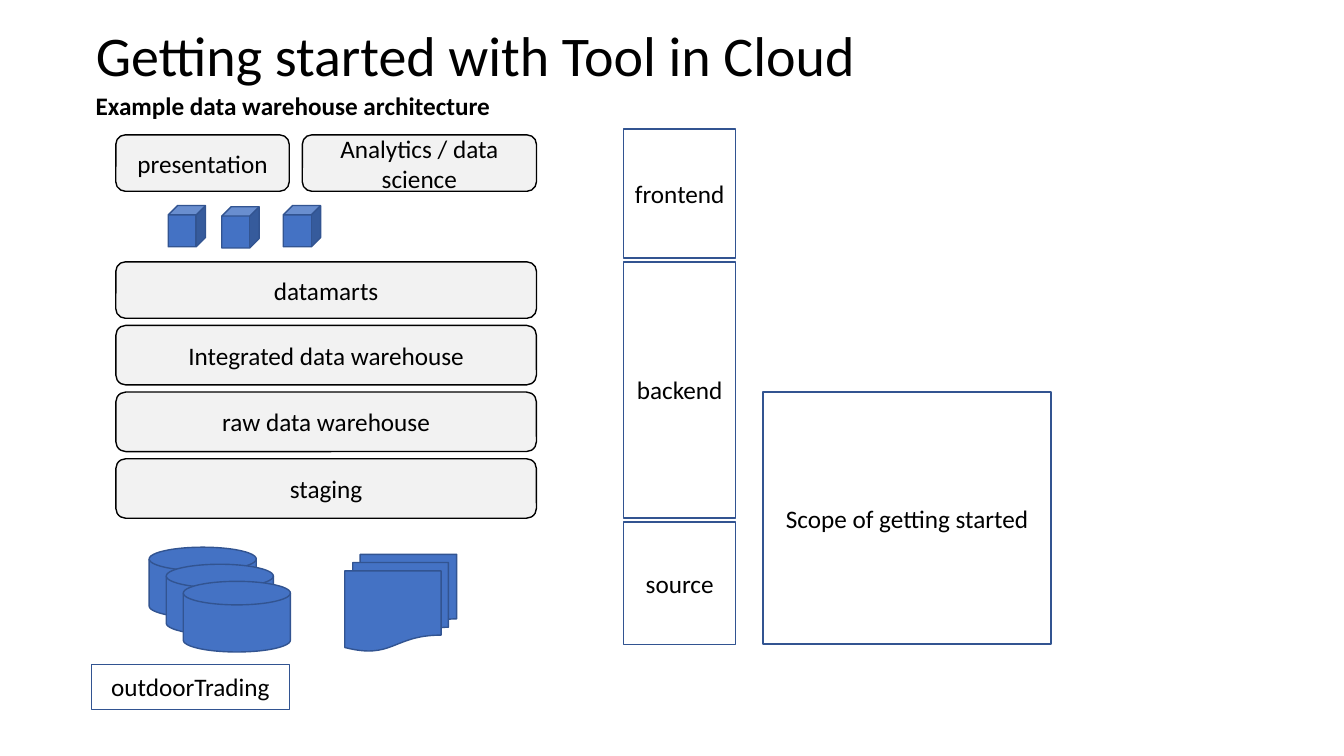
from pptx import Presentation
from pptx import util as u
from pptx.dml import color
from pptx.enum import shapes, text

FONT = "Calibri"
BLACK, WHITE, GREY = "000000", "FFFFFF", "F2F2F2"
BLUE, DARK_BLUE = "4472C4", "325491"
KIND = shapes.MSO_SHAPE


def rgb(hex_code):
    return color.RGBColor.from_string(hex_code)


def place(part, left, top, width, height):
    part.left, part.top = u.Cm(left), u.Cm(top)
    part.width, part.height = u.Cm(width), u.Cm(height)


def write(frame, words, size=18, bold=False, align=text.PP_ALIGN.CENTER,
          anchor=text.MSO_ANCHOR.MIDDLE):
    frame.word_wrap = True
    frame.auto_size = text.MSO_AUTO_SIZE.NONE
    frame.vertical_anchor = anchor
    paragraph = frame.paragraphs[0]
    paragraph.alignment = align
    run = paragraph.add_run()
    run.text = words
    run.font.name, run.font.size, run.font.bold = FONT, u.Pt(size), bold
    run.font.color.rgb = rgb(BLACK)


def add_part(slide, kind, box, fill, line, words=None):
    part = slide.shapes.add_shape(kind, *map(u.Cm, box))
    part.shadow.inherit = False
    part.fill.solid()
    part.fill.fore_color.rgb = rgb(fill)
    part.line.color.rgb = rgb(line)
    part.line.width = u.Pt(1)
    if words:
        write(part.text_frame, words)


def add_heading(slide, left, top, width):
    at_top_left = dict(align=text.PP_ALIGN.LEFT, anchor=text.MSO_ANCHOR.TOP)
    title = slide.shapes.title
    place(title, left, top, width, 1.96)
    write(title.text_frame, "Getting started with Tool in Cloud", size=40, **at_top_left)
    subtitle = slide.shapes.add_textbox(*map(u.Cm, (left, top + 1.78, 19.58, 1.02)))
    write(subtitle.text_frame, "Example data warehouse architecture", bold=True, **at_top_left)


def add_warehouse(slide, left, top, width):
    def layer(words, x, y, w, h):
        add_part(slide, KIND.ROUNDED_RECTANGLE, (left + x, top + y, w, h), GREY, BLACK, words)

    # Front end tools, side by side
    layer("presentation", 0, 0, 4.37, 1.42)
    layer("Analytics / data science", 4.7, 0, width - 4.7, 1.42)
    # Cubes
    for x, y in ((1.32, 1.78), (2.67, 1.81), (4.22, 1.78)):
        add_part(slide, KIND.CUBE, (left + x, top + y, 0.94, 1.04), BLUE, DARK_BLUE)
    # Full-width storage layers
    layer("datamarts", 0, 3.2, width, 1.42)
    storage = ("Integrated data warehouse", "raw data warehouse", "staging")
    for row, words in enumerate(storage):
        layer(words, 0, 4.8 + row * 1.68, width, 1.5)


def add_sources(slide, left, top):
    # Databases, each overlapping the one before
    for step in range(3):
        shift = step * 0.43
        add_part(slide, KIND.FLOWCHART_MAGNETIC_DISK,
                 (left + 1.45 + shift, top + shift, 2.7, 1.78), BLUE, DARK_BLUE)
    # Files
    add_part(slide, KIND.FLOWCHART_MULTIDOCUMENT,
             (left + 6.38, top + 0.18, 2.82, 2.44), BLUE, DARK_BLUE)
    # Name of the sample database
    add_part(slide, KIND.RECTANGLE, (left, top + 2.95, 4.98, 1.14),
             WHITE, DARK_BLUE, "outdoorTrading")


def add_tiers(slide, left, top, width, gap=0.1):
    for words, height in (("frontend", 3.25), ("backend", 6.45), ("source", 3.1)):
        add_part(slide, KIND.RECTANGLE, (left, top, width, height), WHITE, DARK_BLUE, words)
        top += height + gap


def add_scope(slide, left, top, width, height):
    add_part(slide, KIND.RECTANGLE, (left, top, width, height),
             WHITE, DARK_BLUE, "Scope of getting started")


def main():
    deck = Presentation()
    deck.slide_width, deck.slide_height = u.Cm(33.87), u.Cm(19.05)
    slide = deck.slides.add_slide(deck.slide_layouts[5])
    add_heading(slide, left=2.16, top=0.38, width=28.07)
    add_warehouse(slide, left=2.92, top=3.4, width=10.6)
    add_sources(slide, left=2.31, top=13.79)
    add_tiers(slide, left=15.72, top=3.25, width=2.82)
    add_scope(slide, left=19.23, top=9.88, width=7.26, height=6.35)
    deck.save("out.pptx")


if __name__ == "__main__":
    main()
